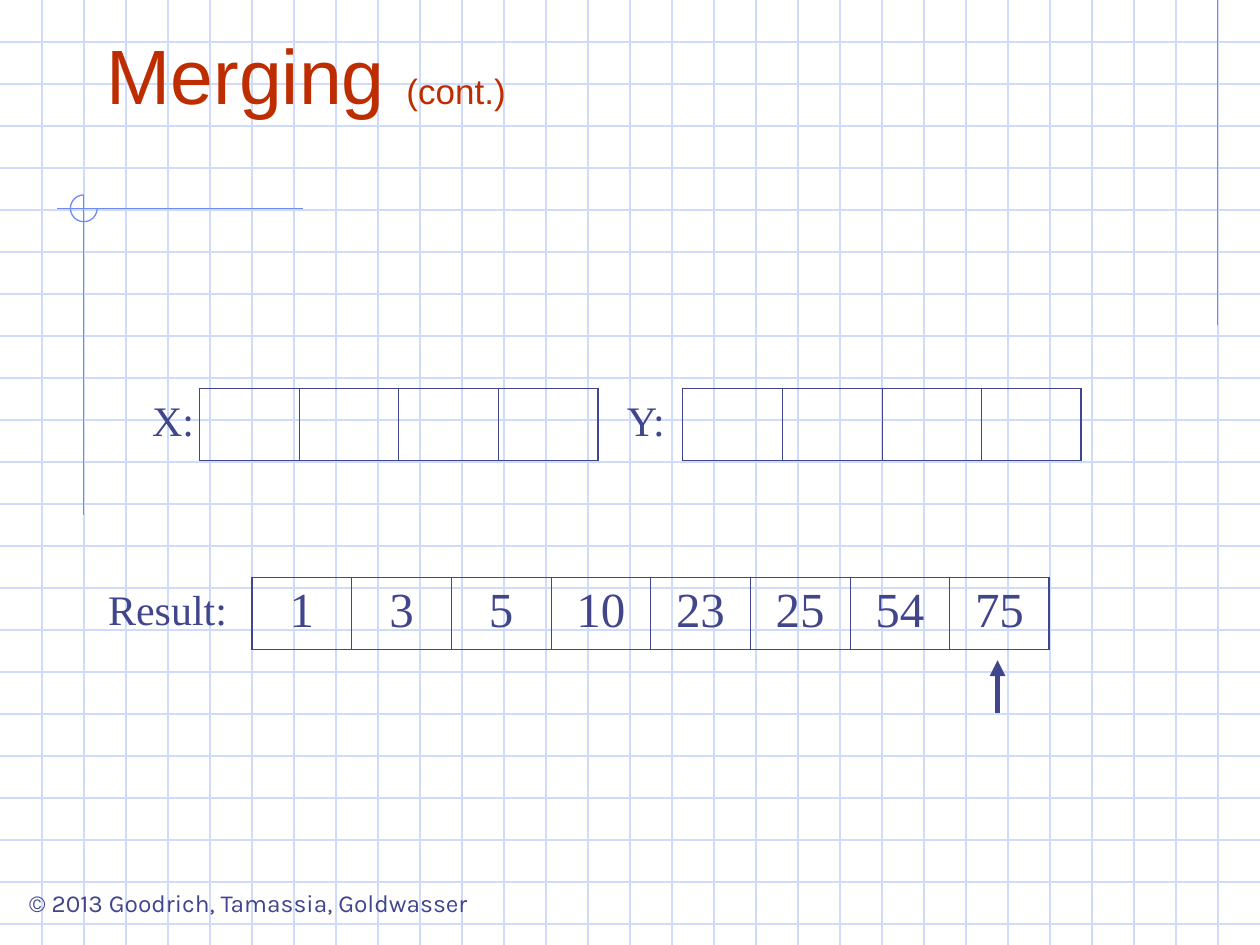
from lxml import etree
from pptx import Presentation
from pptx.dml.color import RGBColor
from pptx.enum import shapes, text
from pptx.oxml.ns import qn
from pptx.util import Cm, Pt

COLORS = {"grid": "CFDBFD", "accent": "6F89F7", "ink": "40458C", "title": "BE2D00"}
WIDTH, HEIGHT = 25.4, 19.05
GRID_COLUMNS = 30
STEP = WIDTH / GRID_COLUMNS
CELL_W, CELL_H = 2.01, 1.45
SERIF = "Times New Roman"

TITLE = [("Merging ", 44), ("(cont.)", 20)]
FOOTER = "© 2013 Goodrich, Tamassia, Goldwasser"
# label, label left, label width, table left, top, cell values
ARRAYS = [
    ("X:", 2.75, 1.48, 4.02, 7.83, [""] * 4),
    ("Y:", 12.28, 1.48, 13.76, 7.83, [""] * 4),
    ("Result:", 1.9, 2.96, 5.08, 11.64,
     ["1", "3", "5", "10", "23", "25", "54", "75"]),
]
ACCENT_LINES = [(24.55, 0, 24.55, 6.56), (6.1, 4.21, 1.15, 4.21), (1.69, 3.93, 1.69, 10.39)]
ARC = (1.42, 3.93, 0.54)
ARROW = (20.11, 14.38, 20.11, 13.31)


def color(name):
    return RGBColor.from_string(COLORS[name])


def add_line(s, ends, name, width=0.75):
    line = s.shapes.add_connector(shapes.MSO_CONNECTOR.STRAIGHT, *map(Cm, ends))
    line.line.color.rgb = color(name)
    line.line.width = Pt(width)
    etree.SubElement(line._element.spPr, qn("a:effectLst"))
    return line


def style(p, size, name, font):
    p.font.size, p.font.name = Pt(size), font
    p.font.color.rgb = color(name)


def add_text(s, box, content, size, name, font, align=text.PP_ALIGN.CENTER, wrap=True):
    tf = s.shapes.add_textbox(*map(Cm, box)).text_frame
    tf.word_wrap = wrap
    p = tf.paragraphs[0]
    p.text, p.alignment = content, align
    style(p, size, name, font)
    return tf


def set_borders(cell, first, last):
    """Thin rules between cells, thicker ones around the whole array."""
    widths = {"L": 1.08 if first else 0.45, "R": 1.08 if last else 0.45, "T": 1.08, "B": 1.08}
    pr = cell._tc.get_or_add_tcPr()
    for i, (side, width) in enumerate(widths.items()):
        ln = etree.Element(qn(f"a:ln{side}"), w=str(Pt(width)))
        fill = etree.SubElement(ln, qn("a:solidFill"))
        etree.SubElement(fill, qn("a:srgbClr"), val=COLORS["ink"])
        pr.insert(i, ln)


def add_array(s, left, top, values):
    n = len(values)
    table = s.shapes.add_table(1, n, Cm(left), Cm(top), Cm(CELL_W * n), Cm(CELL_H)).table
    table.first_row = table.horz_banding = False
    for i, value in enumerate(values):
        table.columns[i].width = Cm(CELL_W)
        cell = table.cell(0, i)
        cell.fill.background()
        set_borders(cell, i == 0, i == n - 1)
        p = cell.text_frame.paragraphs[0]
        p.text, p.alignment = value, text.PP_ALIGN.CENTER
        style(p, 28, "ink", SERIF)


def add_background(s):
    for i in range(1, int(HEIGHT / STEP) + 1):
        add_line(s, (0, i * STEP, WIDTH, i * STEP), "grid")
    for i in range(1, GRID_COLUMNS):
        add_line(s, (i * STEP, 0, i * STEP, HEIGHT), "grid")
    for ends in ACCENT_LINES:
        add_line(s, ends, "accent")
    left, top, size = map(Cm, ARC)
    arc = s.shapes.add_shape(shapes.MSO_SHAPE.ARC, left, top, size, size)
    arc.adjustments[0], arc.adjustments[1] = 0, 162  # right to top, clockwise
    arc.shadow.inherit = False
    arc.fill.background()
    arc.line.color.rgb = color("accent")
    arc.line.width = Pt(0.75)


def main():
    prs = Presentation()
    prs.slide_width, prs.slide_height = Cm(WIDTH), Cm(HEIGHT)
    s = prs.slides.add_slide(prs.slide_layouts[6])
    add_background(s)
    add_text(s, (0.08, 17.78, 9.86, 0.86), FOOTER, 14, "ink", "Karla", wrap=False)

    tf = add_text(s, (1.9, 0.42, 21.59, 2.12), "", 44, "title", "Arial", text.PP_ALIGN.LEFT)
    tf.vertical_anchor = text.MSO_ANCHOR.BOTTOM
    for content, size in TITLE:
        r = tf.paragraphs[0].add_run()
        r.text, r.font.size = content, Pt(size)

    for label, label_left, label_width, left, top, values in ARRAYS:
        add_array(s, left, top, values)
        add_text(s, (label_left, top, label_width, 1.27), label, 24, "ink", SERIF)

    arrow = add_line(s, ARROW, "ink", 3)
    etree.SubElement(arrow.line._get_or_add_ln(), qn("a:tailEnd"), type="triangle")
    prs.save("out.pptx")


if __name__ == "__main__":
    main()
